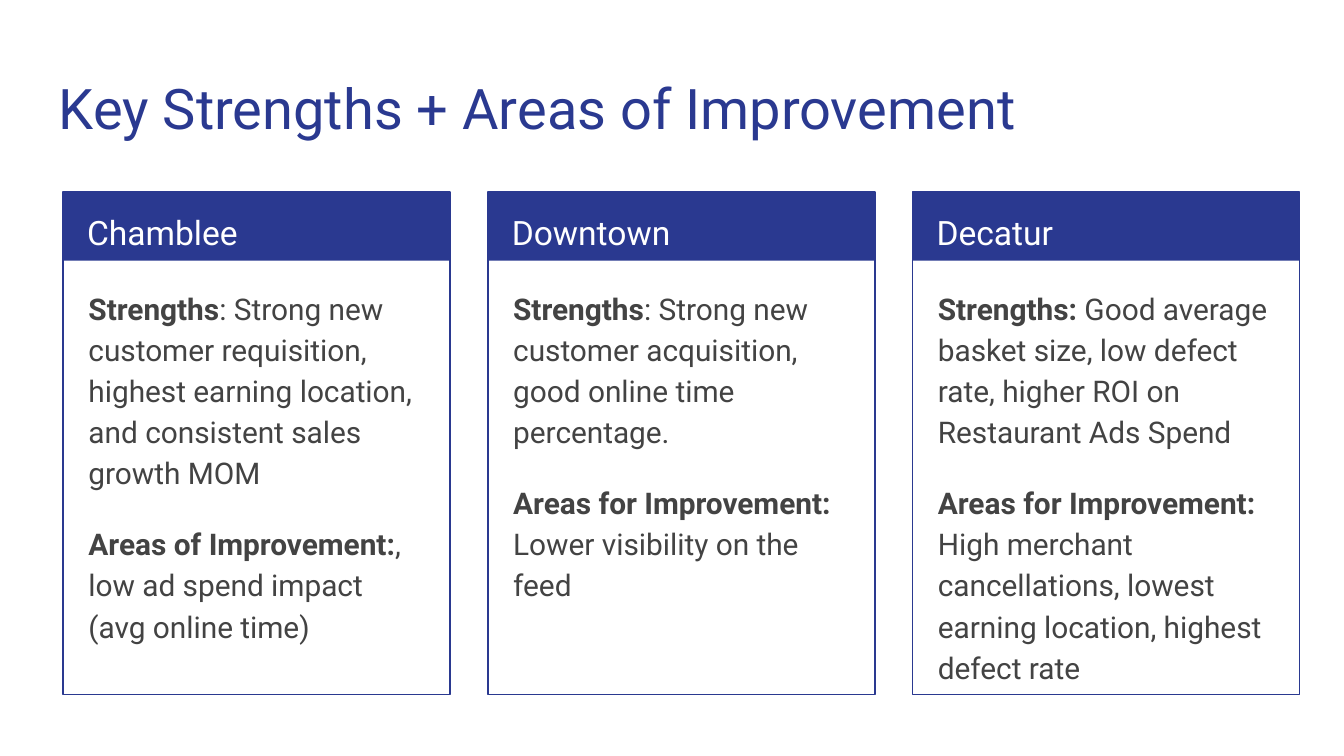
from dataclasses import dataclass

from pptx import Presentation
from pptx import util as u
from pptx.dml.color import RGBColor
from pptx.enum import shapes, text


@dataclass(frozen=True)
class Theme:
    font: str = "Roboto"
    blue: str = "2A3990"
    white: str = "FFFFFF"
    gray: str = "434343"
    title: int = 30
    head: int = 18
    body: int = 16
    line: float = 0.75


theme = Theme()

# Card grid, in inches
LEFT, TOP, STEP = 0.47, 1.43, 3.16
WIDE, TALL, BAND = 2.88, 3.74, 0.51

cards = [
    ("Chamblee", [
        ("Strengths", ": Strong new customer requisition, highest earning location, "
                      "and consistent sales growth MOM"),
        ("Areas of Improvement:", ", low ad spend impact (avg online time)"),
    ]),
    ("Downtown", [
        ("Strengths", ": Strong new customer acquisition, good online time percentage."),
        ("Areas for Improvement:", " Lower visibility on the feed"),
    ]),
    ("Decatur", [
        ("Strengths:", " Good average basket size, low defect rate, "
                       "higher ROI on Restaurant Ads Spend"),
        ("Areas for Improvement:", " High merchant cancellations, lowest earning "
                                   "location, highest defect rate"),
    ]),
]

deck = Presentation()
deck.slide_width = u.Inches(10)
deck.slide_height = deck.slide_width * 9 // 16
slide = deck.slides.add_slide(deck.slide_layouts[6])


def add_text(box, paras, size, color, space=1.15):
    """Add a text box; each paragraph is a pair of bold lead and plain rest."""
    frame = slide.shapes.add_textbox(*map(u.Inches, box)).text_frame
    frame.word_wrap = True
    frame.vertical_anchor = text.MSO_ANCHOR.TOP
    frame.margin_left = frame.margin_right = u.Inches(0.1)
    frame.margin_top = frame.margin_bottom = u.Inches(0.1)
    for i, pair in enumerate(paras):
        para = frame.add_paragraph() if i else frame.paragraphs[0]
        para.line_spacing = space
        if i:
            para.space_before = para.space_after = u.Pt(size)
        for words, bold in zip(pair, (True, False)):
            if words:
                run = para.add_run()
                run.text = words
                run.font.name, run.font.size = theme.font, u.Pt(size)
                run.font.bold = bold
                run.font.color.rgb = RGBColor.from_string(color)


def add_rect(x, y, w, h):
    rect = slide.shapes.add_shape(
        shapes.MSO_SHAPE.RECTANGLE, *map(u.Inches, (x, y, w, h)))
    rect.shadow.inherit = False
    return rect


add_text((0.34, 0.45, 9.32, 0.66), [("", "Key Strengths + Areas of Improvement")],
         theme.title, theme.blue, 1.0)

blue = RGBColor.from_string(theme.blue)
for col, (name, notes) in enumerate(cards):
    x = LEFT + col * STEP
    band = add_rect(x, TOP, WIDE, BAND)
    band.fill.solid()
    band.fill.fore_color.rgb = blue
    band.line.fill.background()

    frame = add_rect(x, TOP, WIDE, TALL)
    frame.fill.background()
    frame.line.color.rgb = blue
    frame.line.width = u.Pt(theme.line)

    add_text((x + 0.08, TOP, 2.73, 0.5), [("", name)], theme.head, theme.white)
    add_text((x + 0.09, 2.02, 2.71, 3.06), notes, theme.body, theme.gray)

deck.save("out.pptx")
